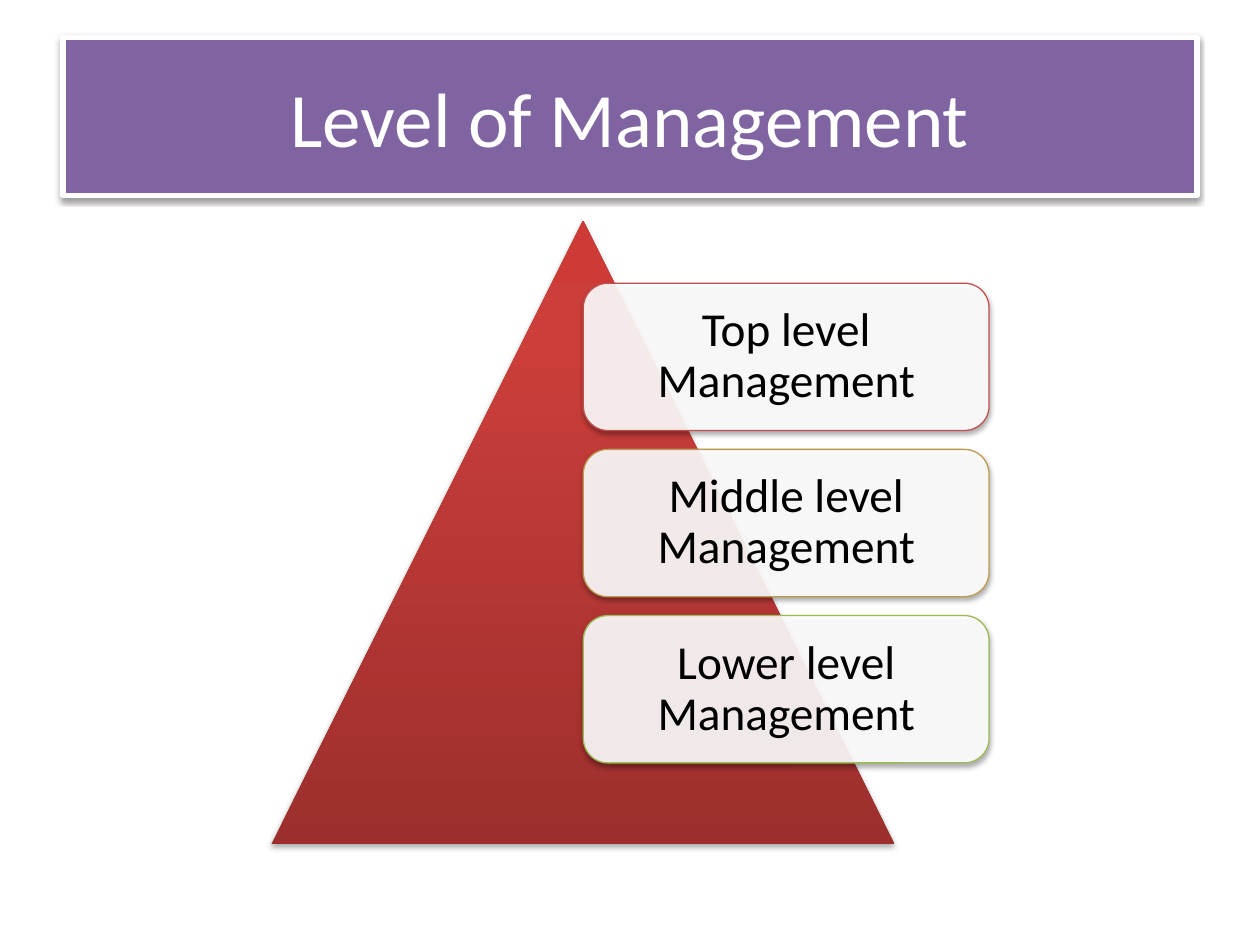
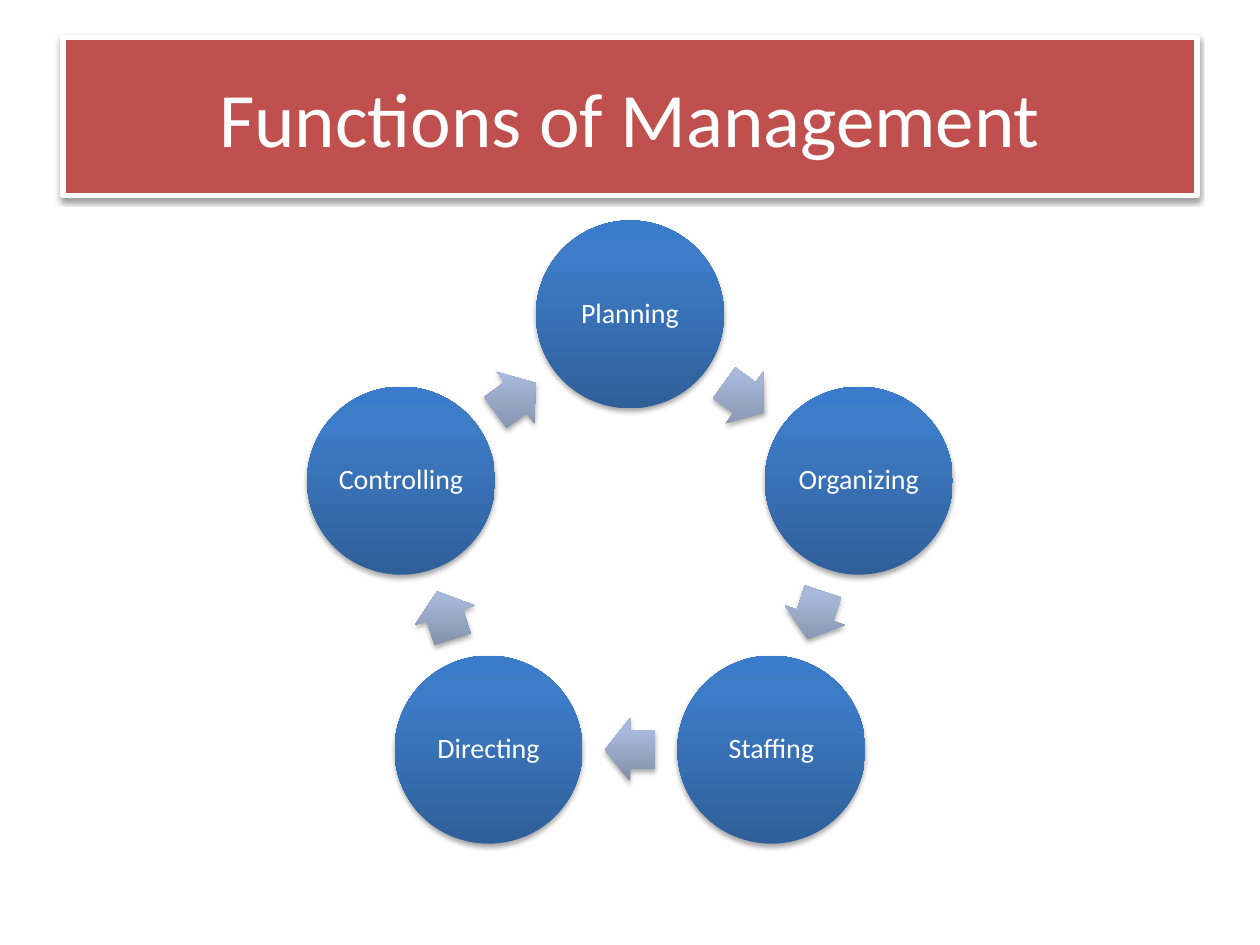
"""Build two slides on the levels and the functions of management."""
from dataclasses import dataclass
from math import cos, pi, sin

from lxml.etree import SubElement
from pptx import Presentation
from pptx.dml.color import RGBColor
from pptx.enum.shapes import MSO_SHAPE
from pptx.enum.text import MSO_ANCHOR, PP_ALIGN
from pptx.oxml.ns import qn
from pptx.shapes.autoshape import Shape
from pptx.slide import Slide
from pptx.util import Cm, Pt


@dataclass(frozen=True)
class Gradient:
    """Colours from the bottom edge to the top edge."""
    bottom: str
    upper: str
    top: str


@dataclass(frozen=True)
class Shadow:
    """Soft shadow cast straight down, in points and percent."""
    opacity: int
    blur: float
    distance: float


@dataclass(frozen=True)
class Theme:
    """Colours, type sizes and effects of both slides."""
    font: str = "Calibri"
    white: str = "FFFFFF"
    black: str = "000000"
    purple: str = "8064A2"
    red: str = "C0504D"
    ochre: str = "BD9B53"
    green: str = "9BBB59"
    pyramid: Gradient = Gradient("9C2F2D", "CB3E3A", "CE3B37")
    circle: Gradient = Gradient("2F5F99", "3D7CC7", "3A7CCB")
    arrow: Gradient = Gradient("818FA8", "A7B9DA", "A7BADC")
    title_size: int = 44
    level_size: int = 27
    function_size: int = 16
    title_shadow: Shadow = Shadow(38, 3.1, 1.6)
    shape_shadow: Shadow = Shadow(35, 3.1, 1.8)


@dataclass(frozen=True)
class Box:
    """Place and size in centimetres."""
    left: float
    top: float
    width: float
    height: float

    @classmethod
    def centred(cls, x: float, y: float, width: float, height: float) -> "Box":
        """Return a box around a centre point."""
        return cls(x - width / 2, y - height / 2, width, height)

    def lengths(self) -> tuple[Cm, Cm, Cm, Cm]:
        """Return the four lengths for python-pptx."""
        return Cm(self.left), Cm(self.top), Cm(self.width), Cm(self.height)


@dataclass(frozen=True)
class Level:
    """One management level and its outline colour."""
    name: str
    outline: str


THEME = Theme()
TITLE_BOX = Box(1.27, 0.76, 22.86, 3.18)
LEVELS = (
    Level("Top level Management", THEME.red),
    Level("Middle level Management", THEME.ochre),
    Level("Lower level Management", THEME.green),
)
FUNCTIONS = ("Planning", "Organizing", "Staffing", "Directing", "Controlling")


def fill_solid(sp: Shape, color: str, opacity: int = 100) -> None:
    """Fill a shape with one colour, see-through if asked."""
    sp.fill.solid()
    sp.fill.fore_color.rgb = RGBColor.from_string(color)
    if opacity < 100:
        clr = sp.element.spPr.find(qn("a:solidFill"))[0]
        SubElement(clr, qn("a:alpha"), val=str(opacity * 1000))


def fill_gradient(sp: Shape, gradient: Gradient) -> None:
    """Fill a shape with a vertical gradient that ignores its rotation."""
    sp.fill.gradient()
    grad = sp.element.spPr.find(qn("a:gradFill"))
    grad.set("rotWithShape", "0")
    for child in list(grad):
        grad.remove(child)
    stops = SubElement(grad, qn("a:gsLst"))
    colors = (gradient.bottom, gradient.upper, gradient.top)
    for percent, color in zip((0, 80, 100), colors):
        stop = SubElement(stops, qn("a:gs"), pos=str(percent * 1000))
        SubElement(stop, qn("a:srgbClr"), val=color)
    SubElement(grad, qn("a:lin"), ang=str(270 * 60000), scaled="0")


def set_outline(sp: Shape, color: str, width: float) -> None:
    """Draw the outline of a shape."""
    sp.line.color.rgb = RGBColor.from_string(color)
    sp.line.width = Pt(width)


def set_shadow(sp: Shape, shadow: Shadow) -> None:
    """Replace the inherited shadow of a shape."""
    sp.shadow.inherit = False
    effects = sp.element.spPr.find(qn("a:effectLst"))
    outer = SubElement(
        effects, qn("a:outerShdw"), blurRad=str(Pt(shadow.blur)),
        dist=str(Pt(shadow.distance)), dir=str(90 * 60000), rotWithShape="0")
    clr = SubElement(outer, qn("a:srgbClr"), val=THEME.black)
    SubElement(clr, qn("a:alpha"), val=str(shadow.opacity * 1000))


def set_text(sp: Shape, text: str, size: int, color: str,
             inset: float, spacing: float) -> None:
    """Write centred text into a shape."""
    tf = sp.text_frame
    tf.text = text
    tf.word_wrap = True
    tf.vertical_anchor = MSO_ANCHOR.MIDDLE
    tf.margin_left = tf.margin_right = Cm(inset)
    tf.margin_top = tf.margin_bottom = Cm(inset)
    p = tf.paragraphs[0]
    p.alignment = PP_ALIGN.CENTER
    p.line_spacing = spacing
    font = p.runs[0].font
    font.name, font.size = THEME.font, Pt(size)
    font.color.rgb = RGBColor.from_string(color)


def add_title_slide(prs: Presentation, title: str, band: str) -> Slide:
    """Add a slide with its title in a coloured band."""
    s = prs.slides.add_slide(prs.slide_layouts[5])
    sp = s.shapes.title
    sp.left, sp.top, sp.width, sp.height = TITLE_BOX.lengths()
    fill_solid(sp, band)
    set_outline(sp, THEME.white, 3)
    set_shadow(sp, THEME.title_shadow)
    set_text(sp, title, THEME.title_size, THEME.white, 0.2, 1.0)
    return s


def add_gradient_shape(s: Slide, kind: MSO_SHAPE, box: Box,
                       gradient: Gradient) -> Shape:
    """Add a shape with a gradient, a shadow and no outline."""
    sp = s.shapes.add_shape(kind, *box.lengths())
    fill_gradient(sp, gradient)
    sp.line.fill.background()
    set_shadow(sp, THEME.shape_shadow)
    return sp


def add_level(s: Slide, level: Level, box: Box) -> None:
    """Add the card of one management level."""
    sp = s.shapes.add_shape(MSO_SHAPE.ROUNDED_RECTANGLE, *box.lengths())
    fill_solid(sp, THEME.white, 90)
    set_outline(sp, level.outline, 0.75)
    set_shadow(sp, THEME.shape_shadow)
    set_text(sp, level.name, THEME.level_size, THEME.black, 0.28, 0.9)


def build_levels(prs: Presentation) -> None:
    """Build the pyramid with the three levels."""
    s = add_title_slide(prs, "Level of Management", THEME.purple)
    add_gradient_shape(s, MSO_SHAPE.ISOSCELES_TRIANGLE,
                       Box(5.47, 4.45, 12.57, 12.57), THEME.pyramid)
    for i, level in enumerate(LEVELS):
        add_level(s, level, Box(11.76, 5.71 + 3.35 * i, 8.18, 2.97))


def build_functions(prs: Presentation) -> None:
    """Build the cycle of functions, clockwise from the top."""
    s = add_title_slide(prs, "Functions of Management", THEME.red)
    center_x, center_y, radius, diameter = 12.7, 11.19, 4.85, 3.79
    step = 2 * pi / len(FUNCTIONS)
    arrow_radius = radius * cos(step / 2)
    for i, name in enumerate(FUNCTIONS):
        angle = i * step
        box = Box.centred(center_x + radius * sin(angle),
                          center_y - radius * cos(angle), diameter, diameter)
        sp = add_gradient_shape(s, MSO_SHAPE.OVAL, box, THEME.circle)
        set_text(sp, name, THEME.function_size, THEME.white, 0.05, 0.9)

        angle += step / 2
        box = Box.centred(center_x + arrow_radius * sin(angle),
                          center_y - arrow_radius * cos(angle), 1.01, 1.28)
        sp = add_gradient_shape(s, MSO_SHAPE.RIGHT_ARROW, box, THEME.arrow)
        sp.adjustments[0], sp.adjustments[1] = 0.6, 0.5
        sp.rotation = 360 * (i + 0.5) / len(FUNCTIONS)


def main() -> None:
    """Build and save the presentation."""
    prs = Presentation()
    prs.slide_width, prs.slide_height = Cm(25.4), Cm(19.05)
    build_levels(prs)
    build_functions(prs)
    prs.save("out.pptx")


if __name__ == "__main__":
    main()
